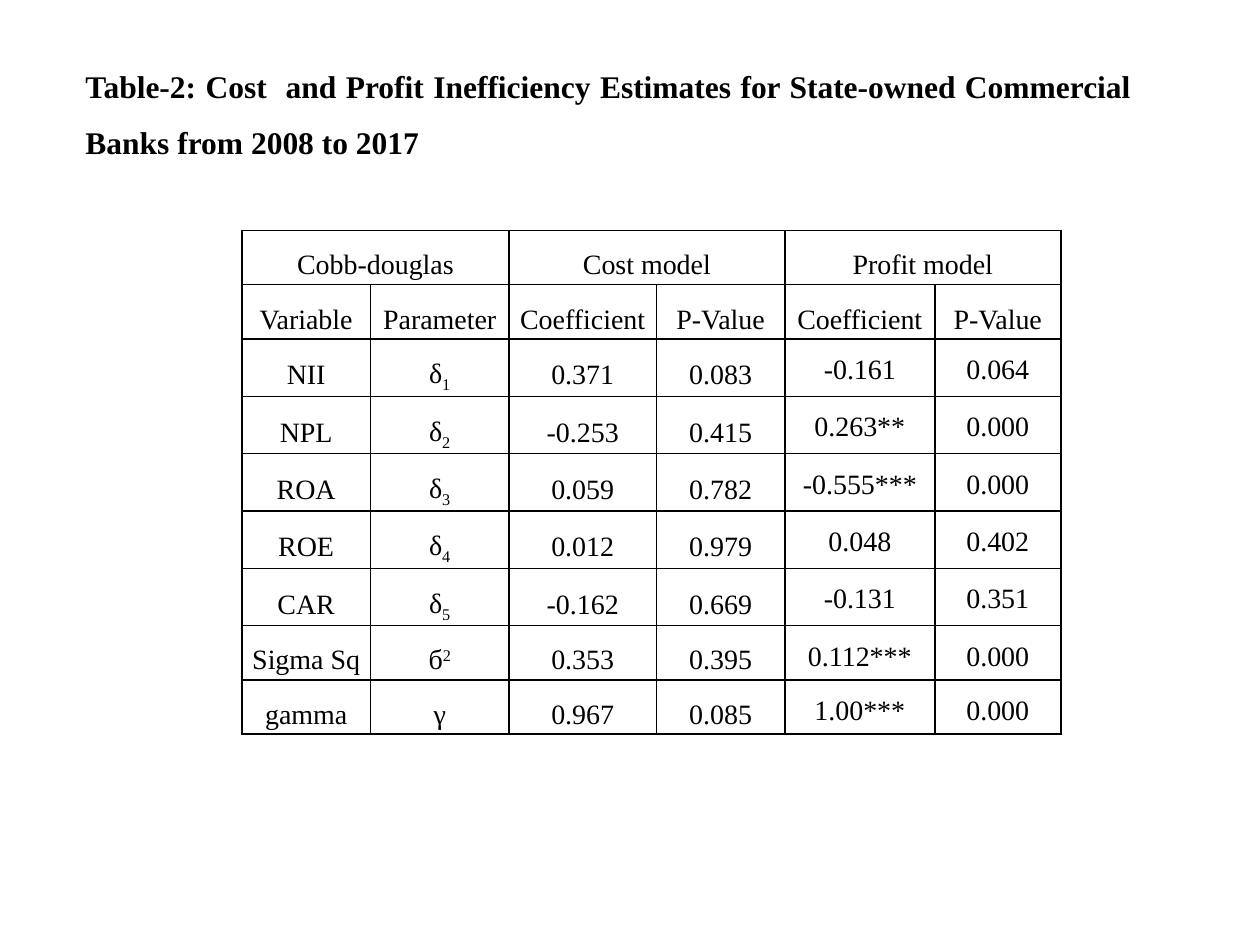
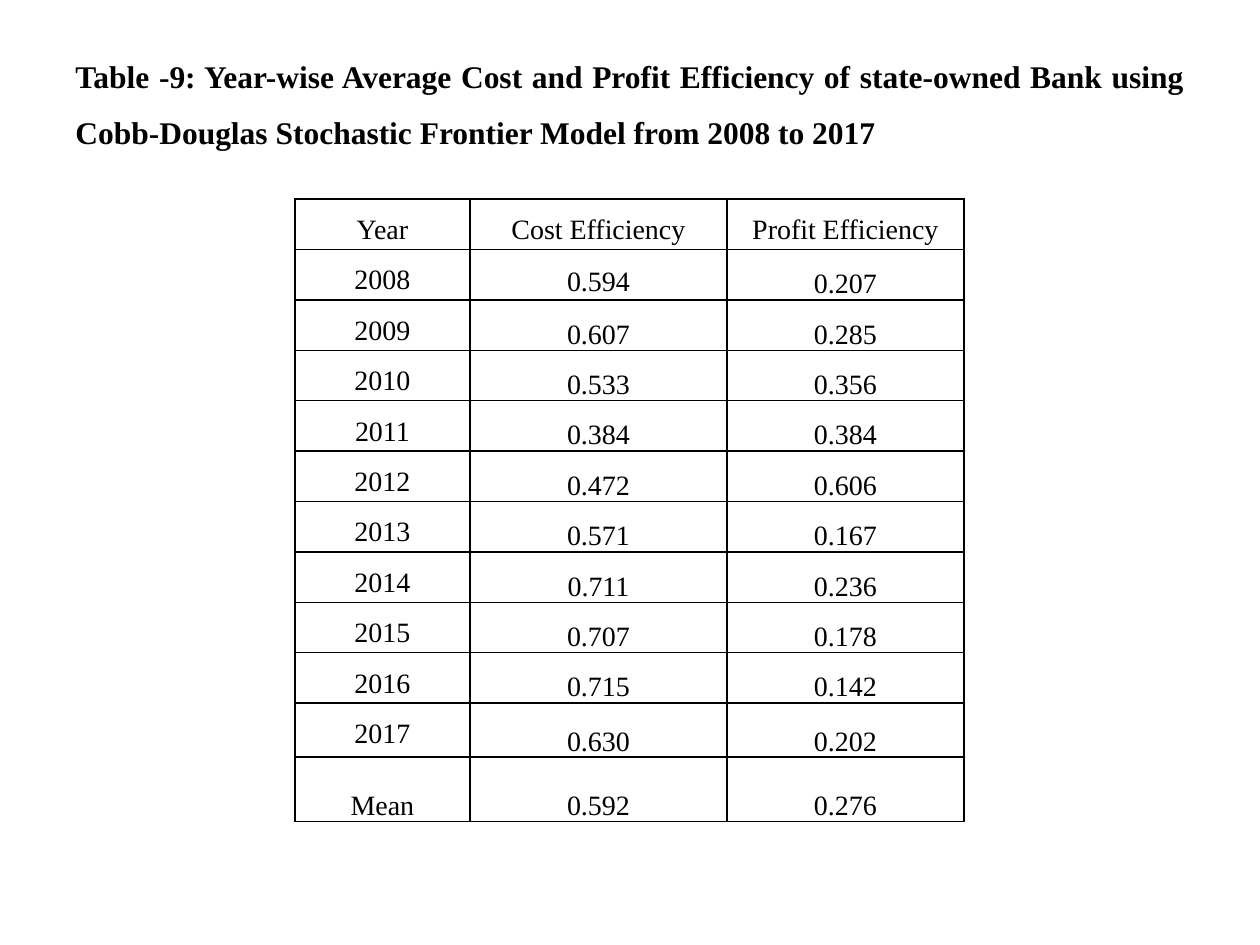
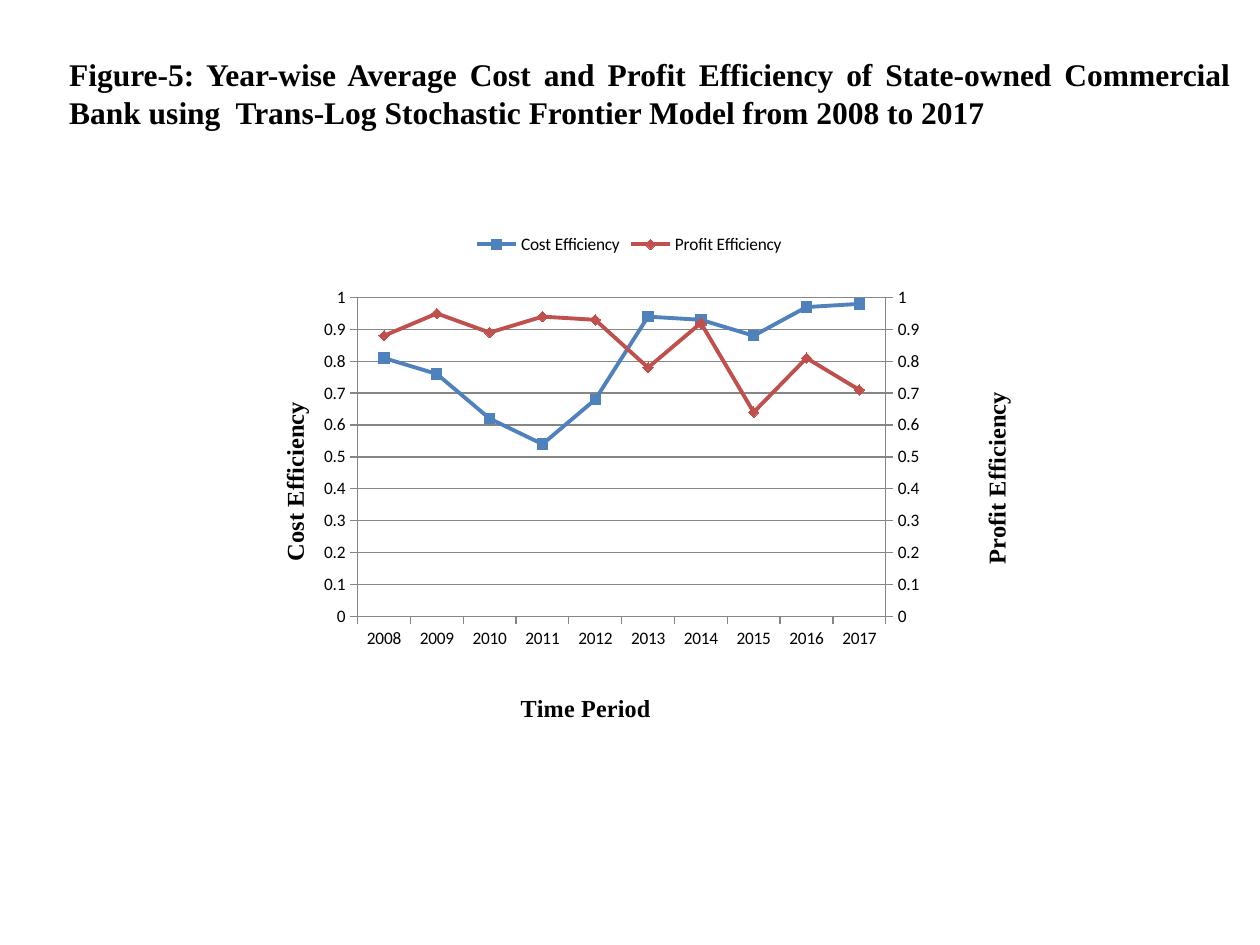
import copy
from dataclasses import dataclass

import lxml.etree
import pptx
import pptx.chart.data
import pptx.dml.color
import pptx.enum.chart
import pptx.enum.text
import pptx.oxml.ns
import pptx.util

qn = pptx.oxml.ns.qn
TOP = pptx.enum.text.MSO_ANCHOR.TOP
MIDDLE = pptx.enum.text.MSO_ANCHOR.MIDDLE
BOTTOM = pptx.enum.text.MSO_ANCHOR.BOTTOM
OUTSIDE = pptx.enum.chart.XL_TICK_MARK.OUTSIDE
MARKER = pptx.enum.chart.XL_MARKER_STYLE
EMU_PER_PX = 9144
BASELINES = {"_": "-25000", "^": "30000"}


@dataclass
class Theme:
    font: str = "Times New Roman"
    chart_font: str = "Calibri"
    ink: str = "000000"
    paper: str = "FFFFFF"
    grid: str = "868686"
    cost: str = "4F81BD"
    profit: str = "C0504D"
    title_size: int = 18
    cell_size: int = 16
    axis_title_size: int = 14
    chart_size: int = 10
    wide: float = 1.5
    after: int = 10


def px(n):
    return pptx.util.Emu(n * EMU_PER_PX)


def rgb(color):
    return pptx.dml.color.RGBColor.from_string(color)


def place(parent, index, **fractions):
    for old in parent.findall(qn("c:layout")):
        parent.remove(old)
    layout = lxml.etree.Element(qn("c:layout"))
    parent.insert(index, layout)
    manual = lxml.etree.SubElement(layout, qn("c:manualLayout"))
    if "w" in fractions:
        lxml.etree.SubElement(manual, qn("c:layoutTarget"), val="inner")
    for side in "xy":
        lxml.etree.SubElement(manual, qn(f"c:{side}Mode"), val="edge")
    for key, value in fractions.items():
        lxml.etree.SubElement(manual, qn(f"c:{key}"), val=str(value))


class Deck:
    def __init__(self, theme):
        self.theme = theme
        self.prs = pptx.Presentation()
        self.prs.slide_width, self.prs.slide_height = px(1000), px(750)

    def add_slide(self):
        self.s = self.prs.slides.add_slide(self.prs.slide_layouts[6])

    def style(self, font, size, bold=False):
        font.name, font.size, font.bold = self.theme.font, pptx.util.Pt(size), bold
        font.color.rgb = rgb(self.theme.ink)

    def title(self, text, x, y, w, h, spacing=None, after=0):
        tf = self.s.shapes.add_textbox(px(x), px(y), px(w), px(h)).text_frame
        tf.word_wrap = True
        tf.auto_size = pptx.enum.text.MSO_AUTO_SIZE.SHAPE_TO_FIT_TEXT
        tf.text = text
        p = tf.paragraphs[0]
        p.alignment = pptx.enum.text.PP_ALIGN.JUSTIFY
        p.line_spacing = spacing
        p.space_after = pptx.util.Pt(after)
        self.style(p.runs[0].font, self.theme.title_size, True)

    def cell(self, cell, text, anchor, after, fill):
        cell.margin_left = cell.margin_right = px(7)
        cell.margin_top = cell.margin_bottom = 0
        cell.vertical_anchor = anchor
        mark = next((m for m in BASELINES if m in text), None)
        base, _, script = text.partition(mark) if mark else (text, "", "")
        p = cell.text_frame.paragraphs[0]
        p.text = base
        p.alignment = pptx.enum.text.PP_ALIGN.CENTER
        p.line_spacing = self.theme.wide
        p.space_after = pptx.util.Pt(after)
        if mark:
            r = p.add_run()
            r.text = script
            r.font._element.set("baseline", BASELINES[mark])
        for r in p.runs:
            self.style(r.font, self.theme.cell_size)
        if fill:
            cell.fill.solid()
            cell.fill.fore_color.rgb = rgb(fill)
        else:
            cell.fill.background()
        self.borders(cell)

    def borders(self, cell):
        tc_pr = cell._tc.get_or_add_tcPr()
        for i, side in enumerate("LRTB"):
            ln = lxml.etree.Element(qn(f"a:ln{side}"), w=str(pptx.util.Pt(1)))
            solid = lxml.etree.SubElement(ln, qn("a:solidFill"))
            lxml.etree.SubElement(solid, qn("a:srgbClr"), val=self.theme.ink)
            tc_pr.insert(i, ln)

    def table(self, x, y, widths, heights, rows, layout, fill=None, spans=()):
        table = self.s.shapes.add_table(
            len(rows), len(widths), px(x), px(y), px(sum(widths)), px(sum(heights))).table
        table.first_row = table.horz_banding = False
        for column, w in zip(table.columns, widths):
            column.width = px(w)
        for row, h in zip(table.rows, heights):
            row.height = px(h)
        for i, row in enumerate(rows):
            for j, text in enumerate(row):
                anchor, after = layout(i, j)
                self.cell(table.cell(i, j), text, anchor, after, fill)
        for first, last in spans:
            table.cell(*first).merge(table.cell(*last))

    def axis(self, axis, title, x, y, rotation=None):
        axis.visible = True
        axis.major_tick_mark = OUTSIDE
        axis.format.line.color.rgb = rgb(self.theme.grid)
        tf = axis.axis_title.text_frame
        tf.text = title
        self.style(tf.paragraphs[0].runs[0].font, self.theme.axis_title_size, True)
        if rotation:
            tf._txBody.bodyPr.set("rot", str(rotation * 60000))
            tf._txBody.bodyPr.set("vert", "horz")
        place(axis.axis_title._element, 1, x=x, y=y)

    def second_axis(self, chart, title, x, y):
        area = chart._chartSpace.chart.plotArea
        left_lines = area.find(qn("c:lineChart"))
        right_lines = copy.deepcopy(left_lines)
        left_lines.remove(left_lines.findall(qn("c:ser"))[1])
        right_lines.remove(right_lines.findall(qn("c:ser"))[0])
        left_lines.addnext(right_lines)

        cat = copy.deepcopy(area.find(qn("c:catAx")))
        val = copy.deepcopy(area.find(qn("c:valAx")))
        for ax, own, other in ((cat, "5001", "5002"), (val, "5002", "5001")):
            ax.find(qn("c:axId")).set("val", own)
            ax.find(qn("c:crossAx")).set("val", other)
        for ax_id, value in zip(right_lines.findall(qn("c:axId")), ("5001", "5002")):
            ax_id.set("val", value)
        cat.find(qn("c:delete")).set("val", "1")
        cat.remove(cat.find(qn("c:title")))
        val.remove(val.find(qn("c:majorGridlines")))
        val.find(qn("c:axPos")).set("val", "r")
        val.find(qn("c:crosses")).set("val", "max")
        heading = val.find(qn("c:title"))
        next(heading.iter(qn("a:t"))).text = title
        place(heading, 1, x=x, y=y)
        last = area.find(qn("c:valAx"))
        last.addnext(val)
        val.addnext(cat)

    def efficiency_chart(self, x, y, w, h, years, cost, profit):
        t = self.theme
        data = pptx.chart.data.CategoryChartData()
        data.categories = years
        data.add_series("Cost Efficiency", cost)
        data.add_series("Profit Efficiency", profit)
        chart = self.s.shapes.add_chart(
            pptx.enum.chart.XL_CHART_TYPE.LINE_MARKERS, px(x), px(y), px(w), px(h), data).chart
        chart.has_title = False
        chart.font.name, chart.font.size = t.chart_font, pptx.util.Pt(t.chart_size)
        chart.font.color.rgb = rgb(t.ink)
        chart.has_legend = True
        chart.legend.position = pptx.enum.chart.XL_LEGEND_POSITION.TOP
        chart.legend.include_in_layout = False
        plot = chart.plots[0]
        plot.vary_by_categories = False
        looks = ((t.cost, MARKER.SQUARE), (t.profit, MARKER.DIAMOND))
        for series, (color, marker) in zip(plot.series, looks):
            series.smooth = False
            series.format.line.color.rgb = rgb(color)
            series.format.line.width = pptx.util.Pt(2.25)
            series.marker.style, series.marker.size = marker, 6
            series.marker.format.fill.solid()
            series.marker.format.fill.fore_color.rgb = rgb(color)
            series.marker.format.line.color.rgb = rgb(color)
        value = chart.value_axis
        value.minimum_scale, value.maximum_scale, value.major_unit = 0, 1, 0.1
        value.has_major_gridlines = True
        value.major_gridlines.format.line.color.rgb = rgb(t.grid)
        self.axis(chart.category_axis, "Time Period", 0.35, 0.91)
        self.axis(value, "Cost Efficiency", 0.03, 0.34, rotation=-90)
        self.second_axis(chart, "Profit Efficiency", 0.96, 0.32)
        place(chart._chartSpace.chart.plotArea, 0, x=0.14, y=0.15, w=0.7, h=0.62)


ESTIMATES = [
    ("Cobb-douglas", "", "Cost model", "", "Profit model", ""),
    ("Variable", "Parameter") + ("Coefficient", "P-Value") * 2,
    ("NII", "δ_1", "0.371", "0.083", "-0.161", "0.064"),
    ("NPL", "δ_2", "-0.253", "0.415", "0.263**", "0.000"),
    ("ROA", "δ_3", "0.059", "0.782", "-0.555***", "0.000"),
    ("ROE", "δ_4", "0.012", "0.979", "0.048", "0.402"),
    ("CAR", "δ_5", "-0.162", "0.669", "-0.131", "0.351"),
    ("Sigma Sq", "б^2", "0.353", "0.395", "0.112***", "0.000"),
    ("gamma", "γ", "0.967", "0.085", "1.00***", "0.000"),
]
YEARS = [str(year) for year in range(2008, 2018)]
COST_BY_YEAR = ["0.594", "0.607", "0.533", "0.384", "0.472",
                "0.571", "0.711", "0.707", "0.715", "0.630"]
PROFIT_BY_YEAR = ["0.207", "0.285", "0.356", "0.384", "0.606",
                  "0.167", "0.236", "0.178", "0.142", "0.202"]
AVERAGES = [("Year", "Cost Efficiency", "Profit Efficiency"),
            *zip(YEARS, COST_BY_YEAR, PROFIT_BY_YEAR),
            ("Mean", "0.592", "0.276")]
TRANSLOG_COST = [0.81, 0.76, 0.62, 0.54, 0.68, 0.94, 0.93, 0.88, 0.97, 0.98]
TRANSLOG_PROFIT = [0.88, 0.95, 0.89, 0.94, 0.93, 0.78, 0.92, 0.64, 0.81, 0.71]


def main():
    theme = Theme()
    deck = Deck(theme)

    def estimates_layout(i, j):
        if i > 1 and j > 3:
            return TOP, 0
        return MIDDLE, theme.after if i else 0

    def averages_layout(i, j):
        mean = len(AVERAGES) - 1
        after = 0 if (i == 0 and j) or (i, j) == (mean, 1) else theme.after
        if (i, j) == (1, 1):
            return MIDDLE, after
        return TOP if i == 0 or (j == 0 and i < mean) else BOTTOM, after

    deck.add_slide()
    deck.title("Table-2: Cost  and Profit Inefficiency Estimates for State-owned "
               "Commercial Banks from 2008 to 2017",
               58, 33, 850, 96, theme.wide, theme.after)
    deck.table(192, 183, [102, 110, 117, 102, 119, 100], [43] * len(ESTIMATES),
               ESTIMATES, estimates_layout,
               spans=[((0, j), (0, j + 1)) for j in (0, 2, 4)])

    deck.add_slide()
    deck.title("Table -9: Year-wise Average Cost and Profit Efficiency of state-owned "
               "Bank using Cobb-Douglas Stochastic Frontier Model from 2008 to 2017",
               50, 25, 900, 96, theme.wide, theme.after)
    deck.table(234, 158, [139, 204, 188], [37] * 10 + [43, 51],
               AVERAGES, averages_layout, fill=theme.paper)

    deck.add_slide()
    deck.title("Figure-5: Year-wise Average Cost and Profit Efficiency of State-owned "
               "Commercial Bank using  Trans-Log Stochastic Frontier Model from 2008 to 2017",
               45, 39, 942, 71)
    deck.efficiency_chart(200, 175, 608, 408, YEARS, TRANSLOG_COST, TRANSLOG_PROFIT)

    deck.prs.save("out.pptx")


if __name__ == "__main__":
    main()
